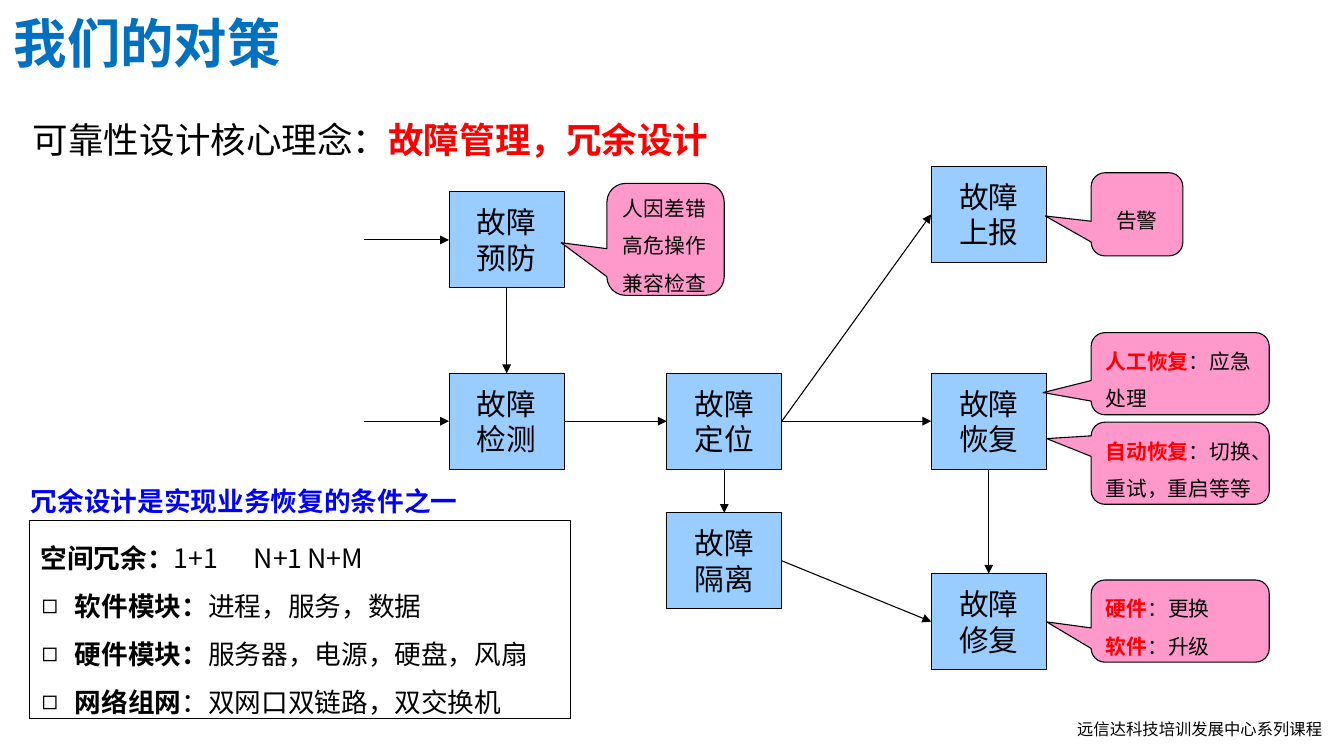
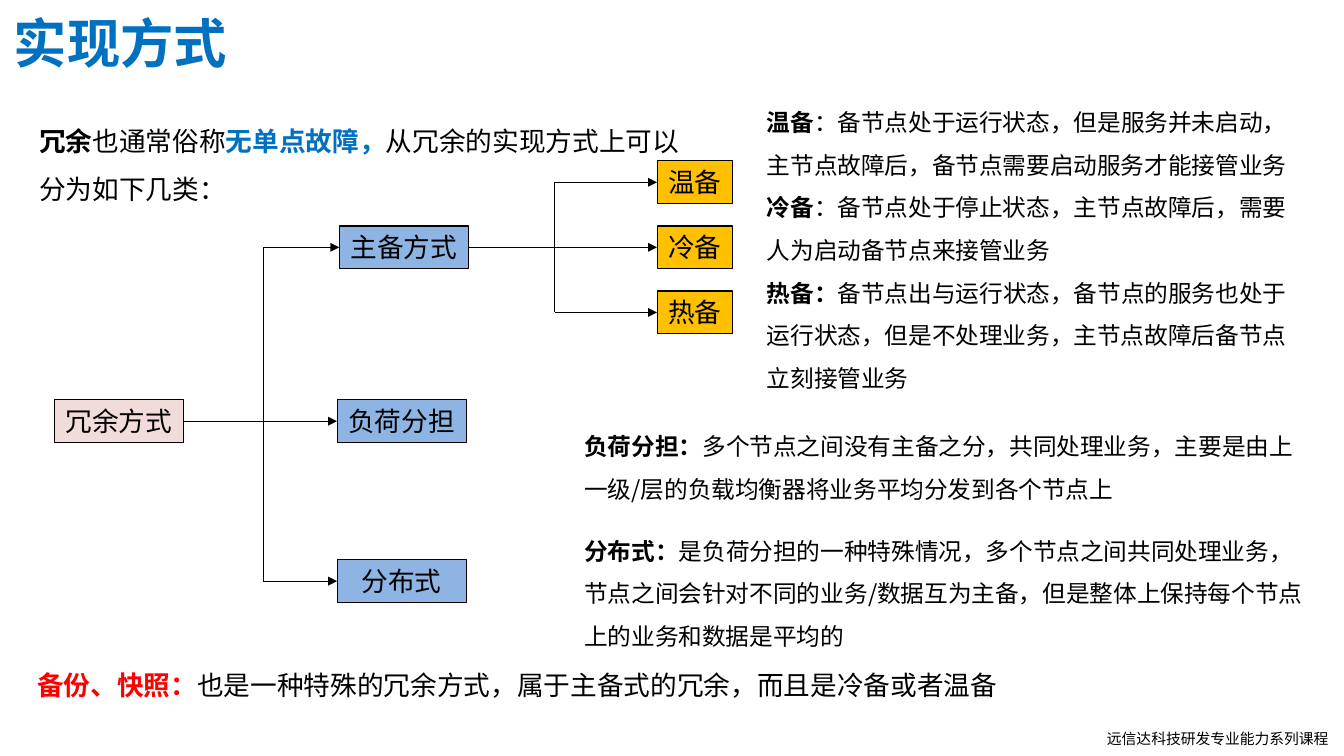
"""Build two slides on fault management and redundancy design."""
from lxml import etree
from pptx import Presentation
from pptx.dml.color import RGBColor
from pptx.enum import shapes, text
from pptx.oxml import ns
from pptx.util import Inches, Pt

W, H = 12.6, 7.09
CJK, LATIN = "Noto Sans CJK SC", "Arial"
LEFT, CENTER = text.PP_ALIGN.LEFT, text.PP_ALIGN.CENTER
TOP, MIDDLE = text.MSO_ANCHOR.TOP, text.MSO_ANCHOR.MIDDLE
SITE_TOP, SITE_LEFT, SITE_BOTTOM, SITE_RIGHT = range(4)
COLORS = {
    "black": "000000", "title": "0070C0", "red": "FF0000", "blue": "0000FF",
    "step": "99CCFF", "callout": "FF99CC", "root": "F2DCDB",
    "mode": "8EB4E3", "standby": "FFC000",
}

STEP_SIZE = (1.08, 0.9)
STEP_COLS = (4.21, 6.25, 8.73)
STEPS = {
    "预防": (0, 1.8), "检测": (0, 3.5), "定位": (1, 3.5), "隔离": (1, 4.81),
    "上报": (2, 1.56), "恢复": (2, 3.5), "修复": (2, 5.38),
}
STEP_LINKS = [
    ("预防", SITE_BOTTOM, "检测", SITE_TOP), ("检测", SITE_RIGHT, "定位", SITE_LEFT),
    ("定位", SITE_RIGHT, "上报", SITE_LEFT), ("定位", SITE_RIGHT, "恢复", SITE_LEFT),
    ("定位", SITE_BOTTOM, "隔离", SITE_TOP), ("恢复", SITE_BOTTOM, "修复", SITE_TOP),
    ("隔离", SITE_RIGHT, "修复", SITE_LEFT),
]
ENTRY_STEPS, ENTRY_LENGTH = ("预防", "检测"), 0.8
CALLOUTS = [
    ((5.69, 1.72, 1.1, 1.05), (-0.89, 0.03), LEFT, [["人因差错"], ["高危操作"], ["兼容检查"]]),
    ((10.23, 1.62, 0.86, 0.78), (-1, 0.02), CENTER, [["告警"]]),
    ((10.23, 3.12, 1.67, 0.77), (-0.77, 0.23), LEFT, [[("人工恢复", "red"), "：应急"], ["处理"]]),
    ((10.23, 3.96, 1.67, 0.77), (-0.75, -0.3), LEFT,
     [[("自动恢复", "red"), "：切换、"], ["重试，重启等等"]]),
    ((10.23, 5.44, 1.67, 0.77), (-0.75, 0.01), LEFT,
     [[("硬件", "red"), "：更换"], [("软件", "red"), "：升级"]]),
]
CORE_IDEA = [["可靠性设计核心理念：", ("故障管理，冗余设计", "red")]]
REDUNDANCY_HEAD = [[("冗余设计是实现业务恢复的条件之一", "blue")]]
REDUNDANCY = [
    [("空间冗余：", "black"), "1+1\tN+1\tN+M"],
    [("软件模块：", "black"), "进程，服务，数据"],
    [("硬件模块：", "black"), "服务器，电源，硬盘，风扇"],
    [("网络组网", "black"), "：双网口双链路，双交换机"],
]
TAB_STOPS = (1.85, 2.46)

MODES = {
    "冗余方式": (0.51, 3.75, 1.21, "root"),
    "主备方式": (3.18, 2.12, 1.21, "mode"),
    "负荷分担": (3.16, 3.75, 1.21, "mode"),
    "分布式": (3.16, 5.25, 1.21, "mode"),
    "温备": (6.16, 1.51, 0.71, "standby"),
    "冷备": (6.16, 2.12, 0.71, "standby"),
    "热备": (6.16, 2.73, 0.71, "standby"),
}
MODE_HEIGHT = 0.4
FANS = [
    ("冗余方式", 2.47, ("主备方式", "负荷分担", "分布式")),
    ("主备方式", 5.2, ("温备", "冷备", "热备")),
]
MODE_TEXTS = [
    ((0.27, 0.97, 6.4, 0.96), 18, [[
        ("冗余", "black"), "也通常俗称", ("无单点故障，", "title"),
        "从冗余的实现方式上可以分为如下几类："]]),
    ((7.09, 0.83, 5.18, 2.88), 16, [
        [("温备", "black"), "：备节点处于运行状态，但是服务并未启动，主节点故障后，备节点需要启动服务才能接管业务"],
        [("冷备", "black"), "：备节点处于停止状态，主节点故障后，需要人为启动备节点来接管业务"],
        [("热备：", "black"), "备节点出与运行状态，备节点的服务也处于运行状态，但是不处理业务，主节点故障后备节点立刻接管业务"]]),
    ((5.38, 3.87, 7.03, 0.91), 16, [[
        ("负荷分担：", "black"),
        "多个节点之间没有主备之分，共同处理业务，主要是由上一级/层的负载均衡器将业务平均分发到各个节点上"]]),
    ((5.38, 4.85, 7.03, 1.27), 16, [[
        ("分布式：", "black"),
        "是负荷分担的一种特殊情况，多个节点之间共同处理业务，节点之间会针对不同的业务/数据互为主备，"
        "但是整体上保持每个节点上的业务和数据是平均的"]]),
]
SNAPSHOT = [[("备份、快照：", "red"), "也是一种特殊的冗余方式，属于主备式的冗余，而且是冷备或者温备"]]


def rgb(name):
    return RGBColor.from_string(COLORS[name])


def place(sp, box):
    sp.left, sp.top, sp.width, sp.height = map(Inches, box)


def add_xml(parent, tag, **attrs):
    return etree.SubElement(parent, ns.qn(tag), attrs)


def outline(line):
    line.color.rgb = rgb("black")
    line.width = Pt(0.75)


def write(sp, paras, size, font=CJK, align=LEFT, anchor=TOP, wrap=True, spacing=None, prepare=None):
    tf = sp.text_frame
    tf.word_wrap, tf.vertical_anchor, tf.auto_size = wrap, anchor, text.MSO_AUTO_SIZE.NONE
    for i, runs in enumerate(paras):
        p = tf.add_paragraph() if i else tf.paragraphs[0]
        p.alignment, p.line_spacing, p.space_before = align, spacing, Pt(0)
        if prepare:
            prepare(p, i)
        p.font.size, p.font.name = Pt(size), font
        p.font.color.rgb = rgb("black")
        latin = p._p.pPr.find(".//" + ns.qn("a:latin"))
        latin.addnext(latin.makeelement(ns.qn("a:ea"), {"typeface": font}))
        for run in runs:
            words, color = (run, None) if isinstance(run, str) else run
            r = p.add_run()
            r.text = words
            if color:
                r.font.bold = True
                r.font.color.rgb = rgb(color)


def add_text(slide, box, paras, size, **style):
    sp = slide.shapes.add_textbox(*map(Inches, box))
    write(sp, paras, size, **style)


def add_box(slide, kind, box, fill):
    sp = slide.shapes.add_shape(kind, *map(Inches, box))
    sp.shadow.inherit = False
    sp.fill.solid()
    sp.fill.fore_color.rgb = rgb(fill)
    outline(sp.line)
    return sp


def add_line(slide, start, end, arrow=True):
    line = slide.shapes.add_connector(shapes.MSO_CONNECTOR.STRAIGHT, *start, *end)
    outline(line.line)
    if arrow:
        add_xml(line.line._get_or_add_ln(), "a:tailEnd", type="triangle")
    add_xml(line._element.spPr, "a:effectLst")
    return line


def link(slide, source, source_site, target, target_site):
    line = add_line(slide, (0, 0), (0, 0))
    line.begin_connect(source, source_site)
    line.end_connect(target, target_site)


def middle(sp):
    return sp.top + sp.height // 2


def fan(slide, parent, trunk, children):
    first, center, last = children
    link(slide, parent, SITE_RIGHT, center, SITE_LEFT)
    add_line(slide, (trunk, middle(first)), (trunk, middle(last)), arrow=False)
    for child in (first, last):
        add_line(slide, (trunk, middle(child)), (child.left, middle(child))).end_connect(child, SITE_LEFT)


def add_slide(prs, layout, title, footer, footer_box, footer_size):
    slide = prs.slides.add_slide(prs.slide_layouts[layout])
    place(slide.shapes.title, (0.03, 0.05, 4.96, 0.71))
    write(slide.shapes.title, [[(title, "title")]], 36)
    add_text(slide, footer_box, [[footer]], footer_size, wrap=False)
    return slide


def format_redundancy(p, i):
    pPr = p._p.get_or_add_pPr()
    if i:
        pPr.set("marL", str(Inches(0.32)))
        pPr.set("indent", str(Inches(-0.31)))
        add_xml(pPr, "a:buChar", char="◻")
        return
    pPr.set("marL", "0")
    pPr.set("indent", "0")
    add_xml(pPr, "a:buNone")
    tabs = add_xml(pPr, "a:tabLst")
    for stop in TAB_STOPS:
        add_xml(tabs, "a:tab", pos=str(Inches(stop)), algn="l")


def build_strategy(prs):
    slide = add_slide(prs, 1, "我们的对策", "远信达科技培训发展中心系列课程", (10, 6.7, 2.52, 0.29), 11)
    add_text(slide, (0.21, 1.06, 6.53, 0.5), CORE_IDEA, 24, wrap=False)
    steps = {}
    for name, (col, top) in STEPS.items():
        sp = add_box(slide, shapes.MSO_SHAPE.FLOWCHART_PROCESS, (STEP_COLS[col], top, *STEP_SIZE), "step")
        write(sp, [["故障"], [name]], 20, LATIN, CENTER, MIDDLE, wrap=False)
        steps[name] = sp
    for source, source_site, target, target_site in STEP_LINKS:
        link(slide, steps[source], source_site, steps[target], target_site)
    for name in ENTRY_STEPS:
        sp = steps[name]
        start = (sp.left - Inches(ENTRY_LENGTH), middle(sp))
        add_line(slide, start, (sp.left, middle(sp))).end_connect(sp, SITE_LEFT)
    for box, tip, align, paras in CALLOUTS:
        sp = add_box(slide, shapes.MSO_SHAPE.ROUNDED_RECTANGULAR_CALLOUT, box, "callout")
        sp.adjustments[0], sp.adjustments[1] = tip
        write(sp, paras, 14, align=align, anchor=MIDDLE, wrap=False, spacing=1.5)
    add_text(slide, (0.19, 4.35, 4.28, 0.5), REDUNDANCY_HEAD, 18, spacing=1.5)
    body = slide.placeholders[1]
    place(body, (0.28, 4.88, 5.07, 1.86))
    outline(body.line)
    write(body, REDUNDANCY, 18, spacing=1.5, prepare=format_redundancy)


def build_modes(prs):
    slide = add_slide(prs, 5, "实现方式", "远信达科技研发专业能力系列课程", (10.28, 6.79, 2.37, 0.27), 10)
    modes = {}
    for name, (left, top, width, fill) in MODES.items():
        sp = add_box(slide, shapes.MSO_SHAPE.RECTANGLE, (left, top, width, MODE_HEIGHT), fill)
        write(sp, [[name]], 18, LATIN, CENTER, wrap=False)
        modes[name] = sp
    for parent, trunk, children in FANS:
        fan(slide, modes[parent], Inches(trunk), [modes[name] for name in children])
    for box, size, paras in MODE_TEXTS:
        add_text(slide, box, paras, size, spacing=1.5)
    add_text(slide, (0.25, 6.22, 9.2, 0.4), SNAPSHOT, 18, wrap=False)


def main():
    prs = Presentation()
    prs.slide_width, prs.slide_height = Inches(W), Inches(H)
    build_strategy(prs)
    build_modes(prs)
    prs.save("out.pptx")


if __name__ == "__main__":
    main()
